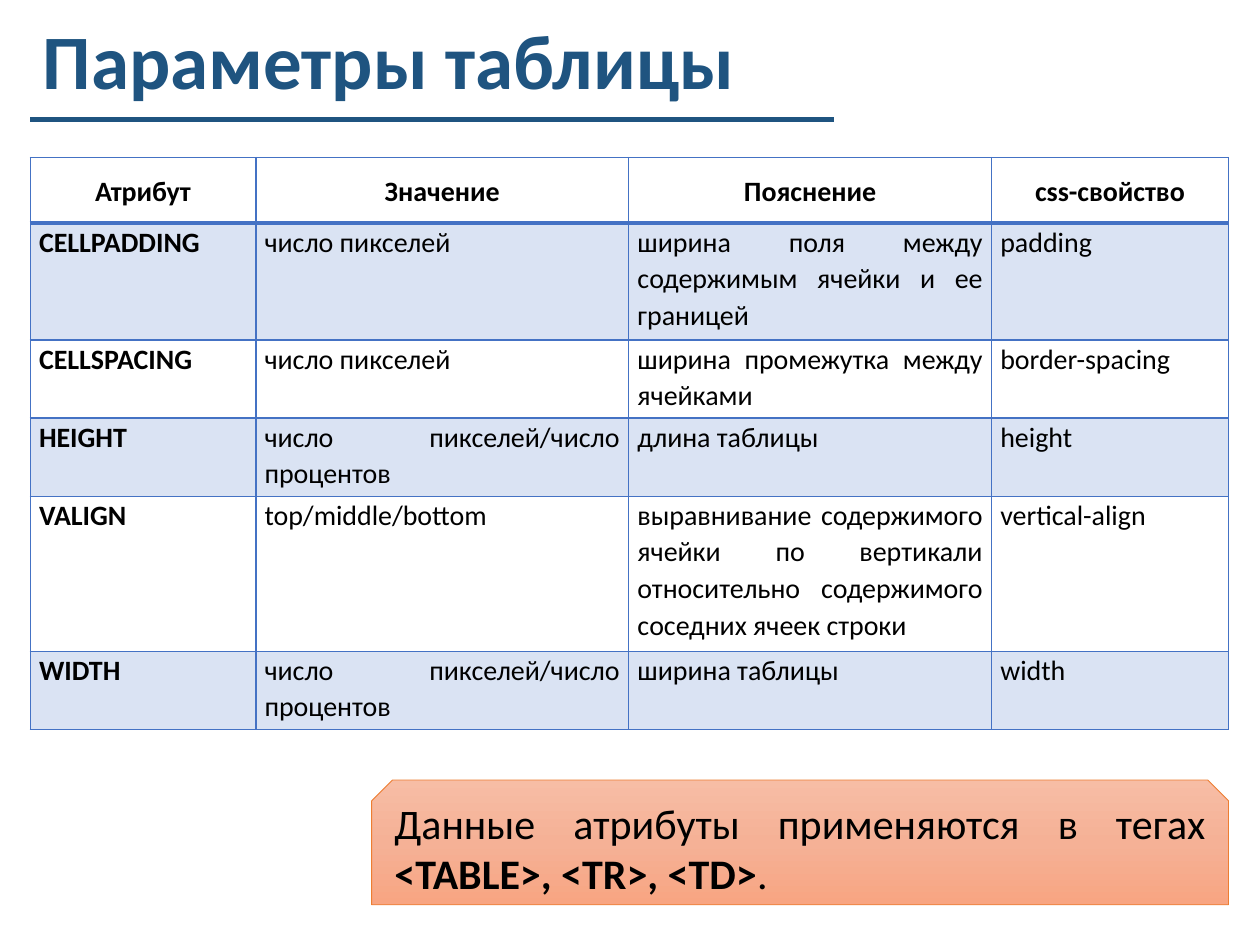
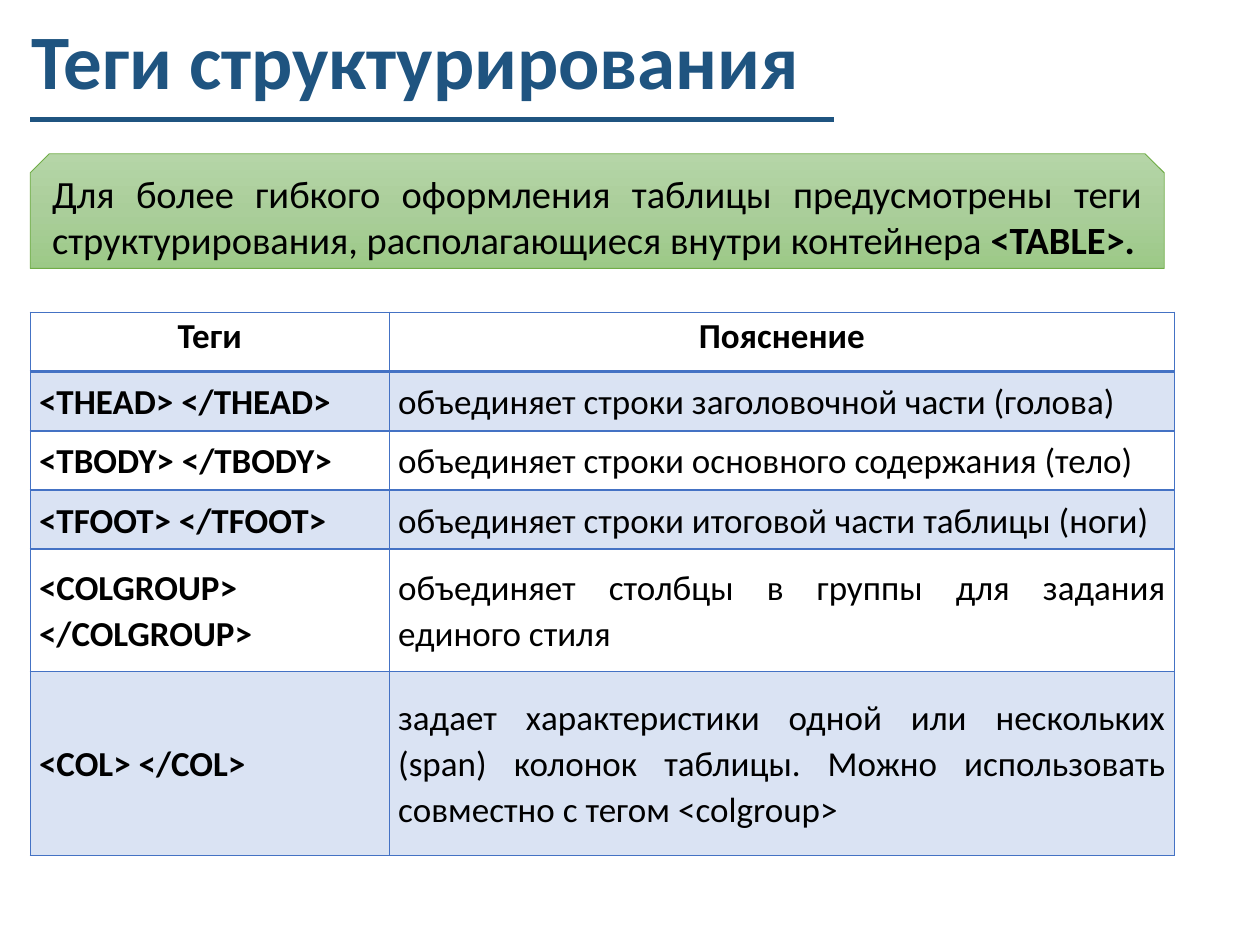
from copy import deepcopy

from lxml.etree import SubElement
from pptx import Presentation
from pptx.dml.color import RGBColor
from pptx.enum.shapes import MSO_CONNECTOR, MSO_SHAPE
from pptx.enum.text import MSO_ANCHOR as Anchor, MSO_AUTO_SIZE as AutoSize, PP_ALIGN as Align
from pptx.oxml.ns import qn
from pptx.util import Inches, Pt

# Shared look
FONT = "Calibri"
NAVY = RGBColor(0x1F, 0x54, 0x80)
BLACK = RGBColor(0x00, 0x00, 0x00)
GRID = RGBColor(0x44, 0x72, 0xC4)
BAND = RGBColor(0xDA, 0xE3, 0xF3)
ORANGE = RGBColor(0xED, 0x7D, 0x31)
ORANGE_FADE = (RGBColor(0xF7, 0xBD, 0xA5), RGBColor(0xF5, 0xB1, 0x96), RGBColor(0xF8, 0xA5, 0x82))
GREEN = RGBColor(0x70, 0xAD, 0x47)
GREEN_FADE = (RGBColor(0xB5, 0xD5, 0xA7), RGBColor(0xAA, 0xCE, 0x9A), RGBColor(0x9C, 0xC9, 0x87))
MARGIN = 0.24
TITLE_ONLY = 5

# Content: note runs are (text, bold)
SLIDES = [
    {
        "title": "Параметры таблицы",
        "title_box": (MARGIN, 0, 7.54, 1.03),
        "table": {
            "top": 1.25, "size": 16,
            "header_anchor": Anchor.MIDDLE, "body_anchor": Anchor.TOP,
            "columns": (1.79, 2.96, 2.88, 1.88),
            "heights": (0.52, 0.93, 0.62, 0.62, 1.23, 0.62),
            "rows": [
                ("Атрибут", "Значение", "Пояснение", "css-свойство"),
                ("CELLPADDING", "число пикселей",
                 "ширина поля между содержимым ячейки и ее границей", "padding"),
                ("CELLSPACING", "число пикселей",
                 "ширина промежутка между ячейками", "border-spacing"),
                ("HEIGHT", "число пикселей/число процентов", "длина таблицы", "height"),
                ("VALIGN", "top/middle/bottom",
                 "выравнивание содержимого ячейки по вертикали относительно "
                 "содержимого соседних ячеек строки", "vertical-align"),
                ("WIDTH", "число пикселей/число процентов", "ширина таблицы", "width"),
            ],
        },
        "note": {
            "box": (2.95, 6.19, 6.8, 0.99), "size": 24,
            "line": ORANGE, "fade": ORANGE_FADE,
            "runs": [("Данные атрибуты применяются в тегах ", False),
                     ("<TABLE>, <TR>, <TD>", True), (".", False)],
        },
    },
    {
        "title": "Теги структурирования",
        "title_box": (0.15, 0, 7.7, 1.03),
        "table": {
            "top": 2.48, "size": 20,
            "header_anchor": Anchor.TOP, "body_anchor": Anchor.MIDDLE,
            "columns": (2.85, 6.23),
            "heights": (0.47, 0.47, 0.47, 0.47, 0.97, 1.46),
            "rows": [
                ("Теги", "Пояснение"),
                ("<THEAD> </THEAD>", "объединяет строки заголовочной части (голова)"),
                ("<TBODY> </TBODY>", "объединяет строки основного содержания (тело)"),
                ("<TFOOT> </TFOOT>", "объединяет строки итоговой части таблицы (ноги)"),
                ("<COLGROUP> </COLGROUP>",
                 "объединяет столбцы в группы для задания единого стиля"),
                ("<COL> </COL>",
                 "задает характеристики одной или нескольких (span) колонок таблицы. "
                 "Можно использовать совместно с тегом <colgroup>"),
            ],
        },
        "note": {
            "box": (MARGIN, 1.22, 9, 0.91), "size": 22,
            "line": GREEN, "fade": GREEN_FADE,
            "runs": [("Для более гибкого оформления таблицы предусмотрены теги "
                      "структурирования, располагающиеся внутри контейнера ", False),
                     ("<TABLE>.", True)],
        },
    },
]


def set_font(font, size, color, bold=None):
    font.name, font.size, font.bold = FONT, Pt(size), bold
    font.color.rgb = color


def add_heading(slide, text, box):
    title = slide.shapes.title
    title.left, title.top, title.width, title.height = map(Inches, box)
    frame = title.text_frame
    frame.text = text
    frame.auto_size = AutoSize.NONE
    frame.vertical_anchor = Anchor.MIDDLE
    line = frame.paragraphs[0]
    line.alignment, line.line_spacing = Align.LEFT, 0.9
    set_font(line.font, 44, NAVY, True)

    underline = slide.shapes.add_connector(
        MSO_CONNECTOR.STRAIGHT, *map(Inches, (MARGIN, 0.95, 6.62, 0.95)))
    underline.line.color.rgb = NAVY
    underline.line.width = Pt(3)
    SubElement(underline._element.spPr, qn("a:effectLst"))


def set_borders(cell, **widths):
    props = cell._tc.get_or_add_tcPr()
    for side in "LRTB":
        edge = SubElement(props, qn(f"a:ln{side}"), w=str(Pt(widths.get(side, 1))))
        fill = SubElement(edge, qn("a:solidFill"))
        SubElement(fill, qn("a:srgbClr"), val=str(GRID))


def add_grid(slide, top, size, header_anchor, body_anchor, columns, heights, rows):
    table = slide.shapes.add_table(
        len(rows), len(columns), Inches(MARGIN), Inches(top),
        Inches(sum(columns)), Inches(sum(heights))).table
    table.horz_banding = False
    for column, width in zip(table.columns, columns):
        column.width = Inches(width)
    for r, (row, height) in enumerate(zip(rows, heights)):
        table.rows[r].height = Inches(height)
        header = r == 0
        for c, text in enumerate(row):
            cell = table.cell(r, c)
            cell.text = text
            cell.margin_left = cell.margin_right = Inches(0.07)
            cell.margin_top = cell.margin_bottom = 0
            cell.vertical_anchor = header_anchor if header else body_anchor
            line = cell.text_frame.paragraphs[0]
            line.alignment = Align.CENTER if header else Align.JUSTIFY
            line.line_spacing = 1.07
            set_font(line.font, size, BLACK, header or c == 0)
            # The rule under the header is double width
            set_borders(cell, B=2 if header else 1, T=2 if r == 1 else 1)
            if r % 2:
                cell.fill.solid()
                cell.fill.fore_color.rgb = BAND
            else:
                cell.fill.background()


def add_note(slide, box, size, line, fade, runs):
    note = slide.shapes.add_shape(MSO_SHAPE.SNIP_2_SAME_RECTANGLE, *map(Inches, box))
    note.shadow.inherit = False
    note.line.color.rgb = line
    note.line.width = Pt(0.5)

    # Three-stop fade from top to bottom
    note.fill.gradient()
    note.fill.gradient_angle = 270
    stops = note._element.spPr.find(qn("a:gradFill")).find(qn("a:gsLst"))
    middle = deepcopy(stops[0])
    middle.set("pos", "50000")
    stops.insert(1, middle)
    for stop, color in zip(note.fill.gradient_stops, fade):
        stop.color.rgb = color

    frame = note.text_frame
    frame.word_wrap = True
    frame.auto_size = AutoSize.SHAPE_TO_FIT_TEXT
    paragraph = frame.paragraphs[0]
    paragraph.alignment = Align.JUSTIFY
    set_font(paragraph.font, size, BLACK)
    for text, bold in runs:
        run = paragraph.add_run()
        run.text = text
        set_font(run.font, size, BLACK, bold)


def main():
    deck = Presentation()
    deck.slide_width, deck.slide_height = Inches(10), Inches(7.5)
    for content in SLIDES:
        slide = deck.slides.add_slide(deck.slide_layouts[TITLE_ONLY])
        add_heading(slide, content["title"], content["title_box"])
        add_grid(slide, **content["table"])
        add_note(slide, **content["note"])
    deck.save("out.pptx")


if __name__ == "__main__":
    main()
